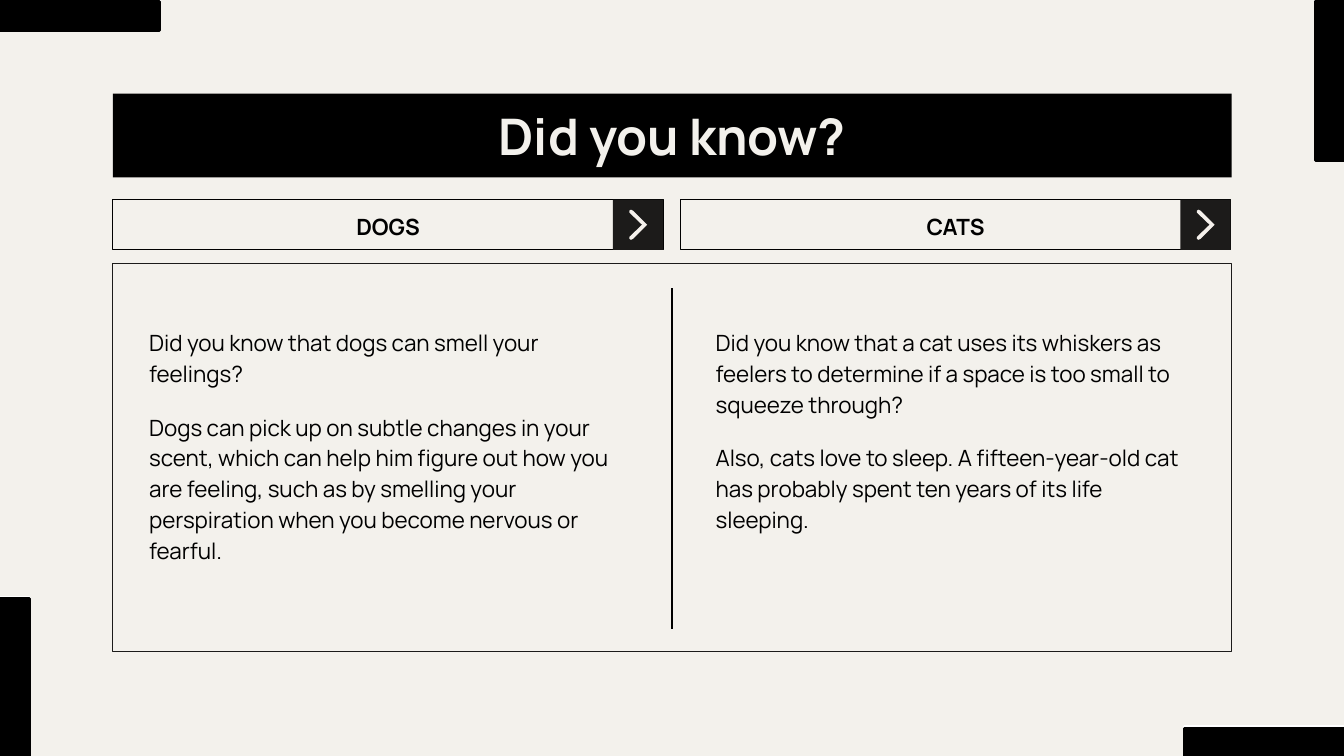
from pptx import Presentation
from pptx.dml.color import RGBColor
from pptx.enum.shapes import MSO_CONNECTOR, MSO_SHAPE
from pptx.enum.text import MSO_ANCHOR, PP_ALIGN
from pptx.oxml.ns import qn
from pptx.util import Inches, Pt
from lxml import etree

STRAIGHT, RECTANGLE = MSO_CONNECTOR.STRAIGHT, MSO_SHAPE.RECTANGLE
TOP, MIDDLE = MSO_ANCHOR.TOP, MSO_ANCHOR.MIDDLE
LEFT, CENTER = PP_ALIGN.LEFT, PP_ALIGN.CENTER

PAPER = RGBColor(0xF3, 0xF1, 0xEC)
IVORY = RGBColor(0xF5, 0xF1, 0xEC)
CHARCOAL = RGBColor(0x1C, 0x1B, 0x1A)
BLACK = RGBColor(0, 0, 0)
WHITE = RGBColor(0xFF, 0xFF, 0xFF)

FONT = "Manrope"
COLUMNS, ROWS = 80, 45
MARGIN, CONTENT_WIDTH = 6.72, 66.6
HEADING_TOP, HEADING_WIDTH, HEADING_HEIGHT = 11.88, 32.76, 3
CHEVRON = [(1.08, 0.6), (0.99, 0.66), (0.99, 0.78), (1.74, 1.5), (0.99, 2.22),
           (0.99, 2.34), (1.08, 2.4), (1.2, 2.34), (2.04, 1.5), (1.2, 0.66)]
BAR_LONG, BAR_SHORT = 9.48, 1.74
CORNER_BARS = [(0, 35.64, BAR_SHORT, BAR_LONG), (78.3, 0.06, BAR_SHORT, BAR_LONG),
               (0, 0.09, BAR_LONG, BAR_SHORT), (70.53, 43.35, BAR_LONG, BAR_SHORT)]

TOPICS = [
    ("DOGS", 6.72, 8.1, [
        "Did you know that dogs can smell your feelings?",
        "Dogs can pick up on subtle changes in your scent, which can help him figure out "
        "how you are feeling, such as by smelling your perspiration when you become "
        "nervous or fearful."]),
    ("CATS", 40.5, 41.82, [
        "Did you know that a cat uses its whiskers as feelers to determine if a space is "
        "too small to squeeze through?",
        "Also, cats love to sleep. A fifteen-year-old cat has probably spent ten years of "
        "its life sleeping."]),
]


def write(shape, paragraphs, size=16, color=BLACK, bold=False, align=LEFT,
          anchor=TOP, spacing=1.15, gap=0):
    """Fill a shape with formatted paragraphs, separated by a gap in points."""
    frame = shape.text_frame
    frame.word_wrap = True
    frame.vertical_anchor = anchor
    frame.margin_left = frame.margin_right = Inches(0.13)
    frame.margin_top = frame.margin_bottom = Inches(0.13)
    for index, text in enumerate(paragraphs):
        para = frame.add_paragraph() if index else frame.paragraphs[0]
        para.alignment = align
        para.line_spacing = spacing
        para.space_before = Pt(gap if index else 0)
        span = para.add_run()
        span.text = text
        span.font.name = FONT
        span.font.size = Pt(size)
        span.font.bold = bold
        span.font.color.rgb = color


class Page:
    """A slide whose elements are placed in columns and rows of a grid."""

    def __init__(self, deck):
        self.slide = deck.slides.add_slide(deck.slide_layouts[5])
        self.column = deck.slide_width / COLUMNS
        self.row = deck.slide_height / ROWS
        self.slide.background.fill.solid()
        self.slide.background.fill.fore_color.rgb = PAPER

    def point(self, x, y):
        return round(x * self.column), round(y * self.row)

    def paint(self, shape, fill=None, line=None, weight=0.75):
        shape.shadow.inherit = False
        if fill is None:
            shape.fill.background()
        else:
            shape.fill.solid()
            shape.fill.fore_color.rgb = fill
        if line is None:
            shape.line.fill.background()
        else:
            shape.line.color.rgb = line
            shape.line.width = Pt(weight)
        return shape

    def title(self, text, x, y, width, height):
        box = self.slide.shapes.title
        box.left, box.top = self.point(x, y)
        box.width, box.height = self.point(width, height)
        box.fill.solid()
        box.fill.fore_color.rgb = BLACK
        write(box, [text], size=36, color=PAPER, bold=True, align=CENTER,
              anchor=MIDDLE, spacing=1.0)

    def rectangle(self, x, y, width, height, **style):
        shape = self.slide.shapes.add_shape(
            RECTANGLE, *self.point(x, y), *self.point(width, height))
        return self.paint(shape, **style)

    def text(self, paragraphs, x, y, width, height, **style):
        box = self.slide.shapes.add_textbox(*self.point(x, y), *self.point(width, height))
        write(box, paragraphs, **style)

    def divider(self, x, top, bottom):
        line = self.slide.shapes.add_connector(
            STRAIGHT, *self.point(x, top), *self.point(x, bottom))
        line.line.color.rgb = BLACK
        line.line.width = Pt(0.75)
        etree.SubElement(line._element.spPr, qn("a:effectLst"))

    def chevron(self, x, y):
        corners = [self.point(x + dx, y + dy) for dx, dy in CHEVRON]
        outline = self.slide.shapes.build_freeform(*corners[0])
        outline.add_line_segments(corners[1:], close=True)
        self.paint(outline.convert_to_shape(), fill=IVORY)

    def heading(self, text, x):
        box = self.rectangle(x, HEADING_TOP, HEADING_WIDTH, HEADING_HEIGHT, line=BLACK)
        write(box, [text], bold=True, align=CENTER, anchor=MIDDLE)
        button = x + HEADING_WIDTH - HEADING_HEIGHT
        self.rectangle(button, HEADING_TOP, HEADING_HEIGHT, HEADING_HEIGHT, fill=CHARCOAL)
        self.chevron(button, HEADING_TOP)


def main():
    deck = Presentation()
    deck.slide_width, deck.slide_height = Inches(13.33), Inches(7.5)
    page = Page(deck)
    page.rectangle(MARGIN, 15.66, CONTENT_WIDTH, 23.1, line=CHARCOAL)
    page.divider(COLUMNS / 2, 17.16, 37.44)
    page.title("Did you know?", MARGIN, 5.58, CONTENT_WIDTH, 4.98)
    for name, heading_left, body_left, facts in TOPICS:
        page.heading(name, heading_left)
        page.text(facts, body_left, 18.6, 30.12, 18.24, gap=16)
    for color, lift in ((WHITE, 0.09), (BLACK, 0)):
        for x, y, width, height in CORNER_BARS:
            page.rectangle(x, y - lift, width, height, fill=color, line=color, weight=2)
    deck.save("out.pptx")


if __name__ == "__main__":
    main()
